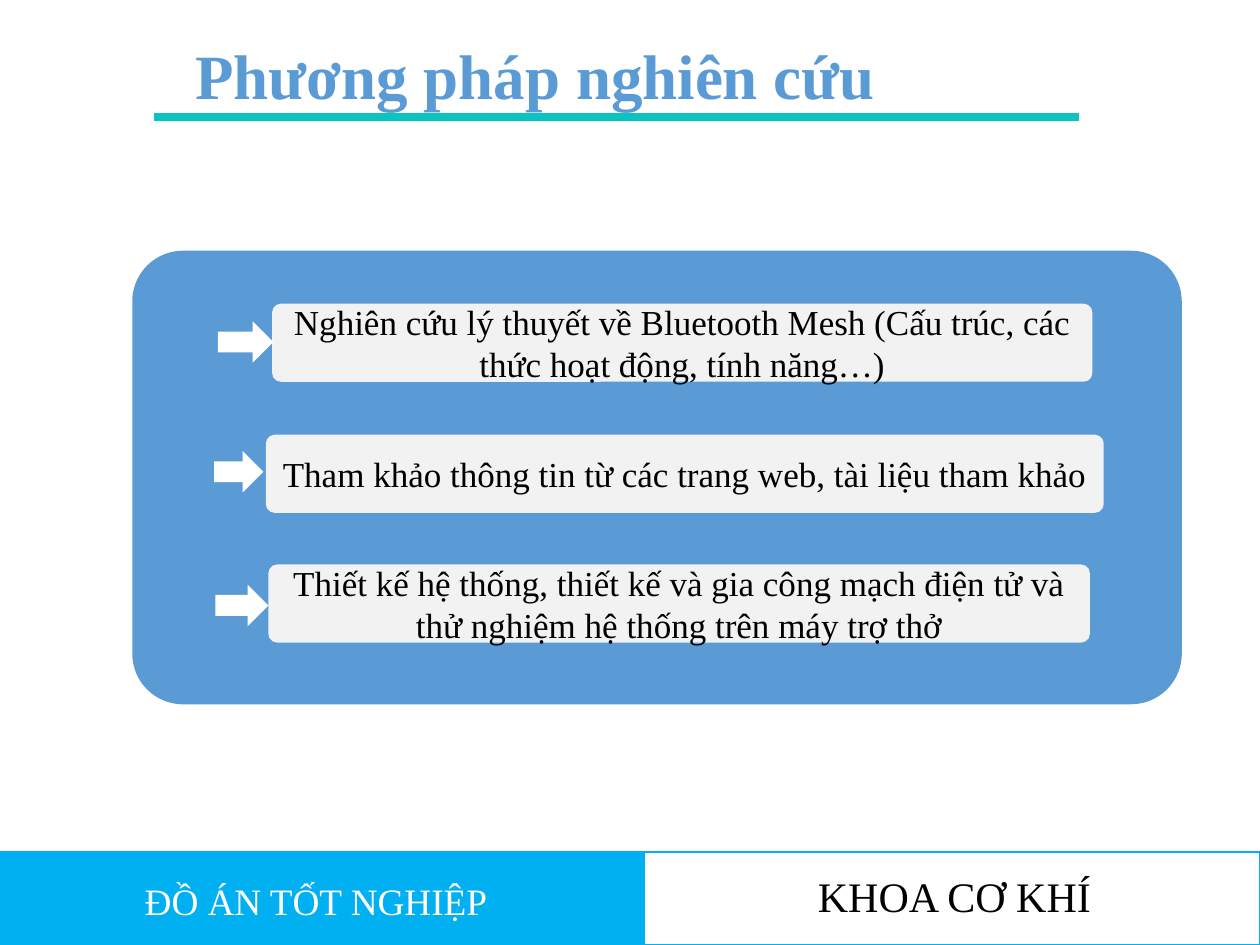
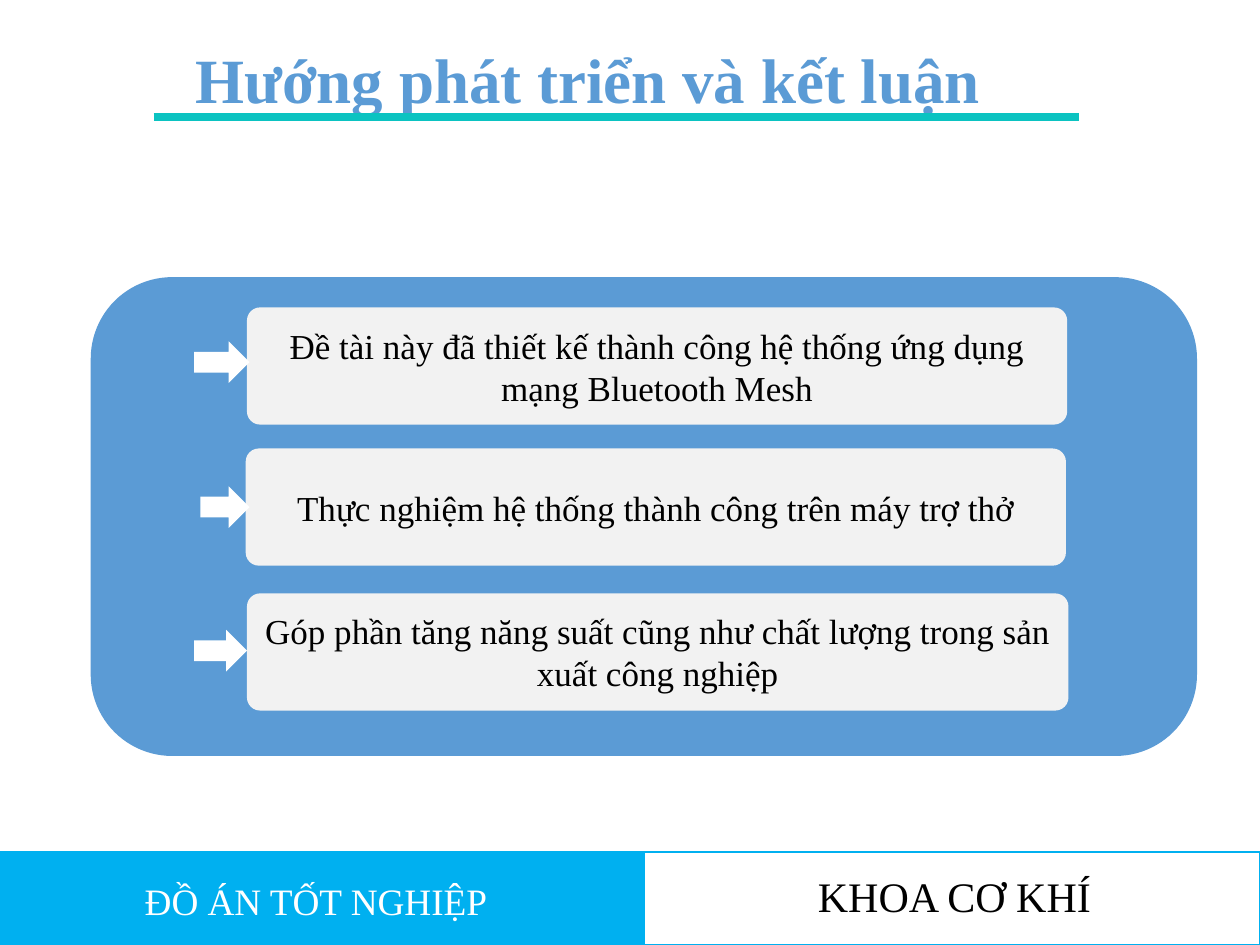
from pptx import Presentation
from pptx.dml.color import RGBColor
from pptx.enum.shapes import MSO_CONNECTOR, MSO_SHAPE
from pptx.enum.text import MSO_ANCHOR, PP_ALIGN
from pptx.oxml.ns import qn
from pptx.util import Pt
from lxml import etree

RECTANGLE = MSO_SHAPE.RECTANGLE
ROUNDED = MSO_SHAPE.ROUNDED_RECTANGLE
ARROW = MSO_SHAPE.RIGHT_ARROW
STRAIGHT = MSO_CONNECTOR.STRAIGHT
LEFT, CENTER = PP_ALIGN.LEFT, PP_ALIGN.CENTER
TOP, MIDDLE = MSO_ANCHOR.TOP, MSO_ANCHOR.MIDDLE

PX = 9144  # 100 px to the inch
FONT = "Times New Roman"
COLORS = {
    "blue": "5B9BD5",
    "rule": "0BC3C1",
    "footer": "00B0F0",
    "card": "F2F2F2",
    "white": "FFFFFF",
    "black": "000000",
}
CARD_RADIUS = 0.112
ARROW_HEIGHT = 33
ARROW_WIDTHS = (44, 39, 42)

# Each item: text, card (left, top, width), arrow (left, top)
SLIDES = [
    {
        "title": "Phương pháp nghiên cứu",
        "title_top": 29,
        "panel": (105, 199, 833, 360),
        "panel_radius": CARD_RADIUS,
        "card_height": 62,
        "items": [
            ("Nghiên cứu lý thuyết về Bluetooth Mesh (Cấu trúc, các thức hoạt động, tính năng…)",
             (216, 241, 651), (173, 255)),
            ("Tham khảo thông tin từ các trang web, tài liệu tham khảo",
             (211, 345, 665), (170, 358)),
            ("Thiết kế hệ thống, thiết kế và gia công mạch điện tử và thử nghiệm hệ thống trên máy trợ thở",
             (213, 448, 652), (171, 464)),
        ],
    },
    {
        "title": "Hướng phát triển và kết luận",
        "title_top": 32,
        "panel": (72, 220, 878, 380),
        "panel_radius": 0.17,
        "card_height": 93,
        "items": [
            ("Đề tài này đã thiết kế thành công hệ thống ứng dụng mạng Bluetooth Mesh",
             (196, 244, 651), (154, 271)),
            ("Thực nghiệm hệ thống thành công trên máy trợ thở",
             (195, 356, 651), (159, 386)),
            ("Góp phần tăng năng suất cũng như chất lượng trong sản xuất công nghiệp",
             (196, 471, 652), (154, 500)),
        ],
    },
]


def add_block(slide, kind, area, fill, line=None, radius=None):
    shape = slide.shapes.add_shape(kind, *(value * PX for value in area))
    shape.shadow.inherit = False
    shape.fill.solid()
    shape.fill.fore_color.rgb = RGBColor.from_string(COLORS[fill])
    if line:
        shape.line.color.rgb = RGBColor.from_string(COLORS[line])
        shape.line.width = Pt(1)
    else:
        shape.line.fill.background()
    if radius:
        shape.adjustments[0] = radius
    return shape


def write(slide, text, area=None, shape=None, size=20, color="black", bold=False,
          align=CENTER, anchor=TOP, inset=True):
    """Write into the given shape, or into a new text box at area."""
    if shape is None:
        shape = slide.shapes.add_textbox(*(value * PX for value in area))
    frame = shape.text_frame
    frame.word_wrap = True
    frame.vertical_anchor = anchor
    if not inset:
        frame.margin_left = frame.margin_top = frame.margin_right = frame.margin_bottom = 0
    paragraph = frame.paragraphs[0]
    paragraph.alignment = align
    run = paragraph.add_run()
    run.text = text
    run.font.name = FONT
    run.font.size = Pt(size)
    run.font.bold = bold
    run.font.color.rgb = RGBColor.from_string(COLORS[color])


presentation = Presentation()
presentation.slide_width = 1000 * PX
presentation.slide_height = 750 * PX
blank_layout = presentation.slide_layouts[6]

for content in SLIDES:
    slide = presentation.slides.add_slide(blank_layout)

    # Title and its rule
    write(slide, content["title"], area=(155, content["title_top"], 689, 61),
          size=36, color="blue", bold=True, align=LEFT, inset=False)
    rule = slide.shapes.add_connector(STRAIGHT, 122 * PX, 93 * PX, 856 * PX, 93 * PX)
    rule.line.color.rgb = RGBColor.from_string(COLORS["rule"])
    rule.line.width = Pt(4.5)
    etree.SubElement(rule._element.spPr, qn("a:effectLst"))

    # Footer
    add_block(slide, RECTANGLE, (0, 676, 511, 74), "footer", line="footer")
    add_block(slide, RECTANGLE, (511, 676, 489, 74), "white", line="footer")
    write(slide, "KHOA CƠ KHÍ", area=(556, 686, 403, 50), size=24)
    write(slide, "ĐỒ ÁN TỐT NGHIỆP", area=(105, 692, 611, 46),
          size=21.3, color="white", align=LEFT)

    # Panel with its cards, then the arrows that point at them
    add_block(slide, ROUNDED, content["panel"], "blue", radius=content["panel_radius"])
    for text, card_place, _ in content["items"]:
        card = add_block(slide, ROUNDED, (*card_place, content["card_height"]), "card",
                         radius=CARD_RADIUS)
        write(slide, text, shape=card, anchor=MIDDLE)
    for (_, _, arrow_place), width in zip(content["items"], ARROW_WIDTHS):
        add_block(slide, ARROW, (*arrow_place, width, ARROW_HEIGHT), "white")

presentation.save("out.pptx")
